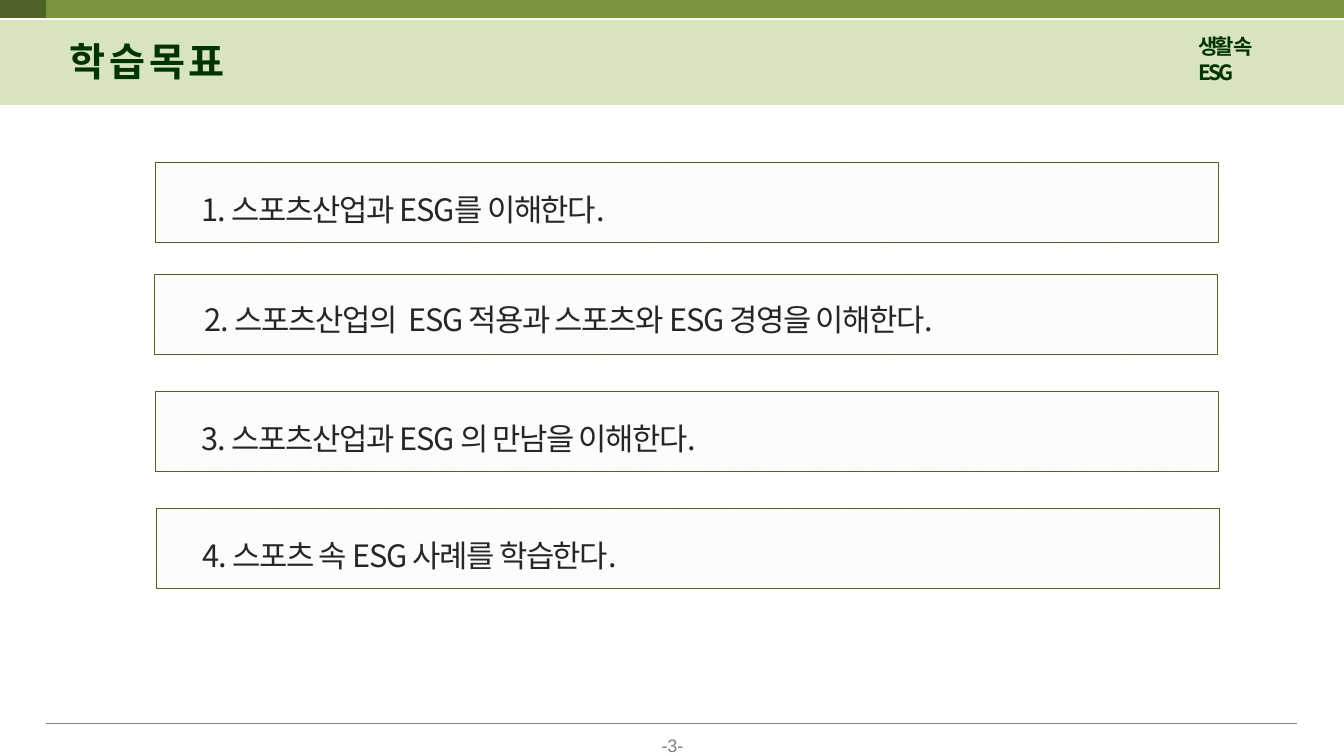
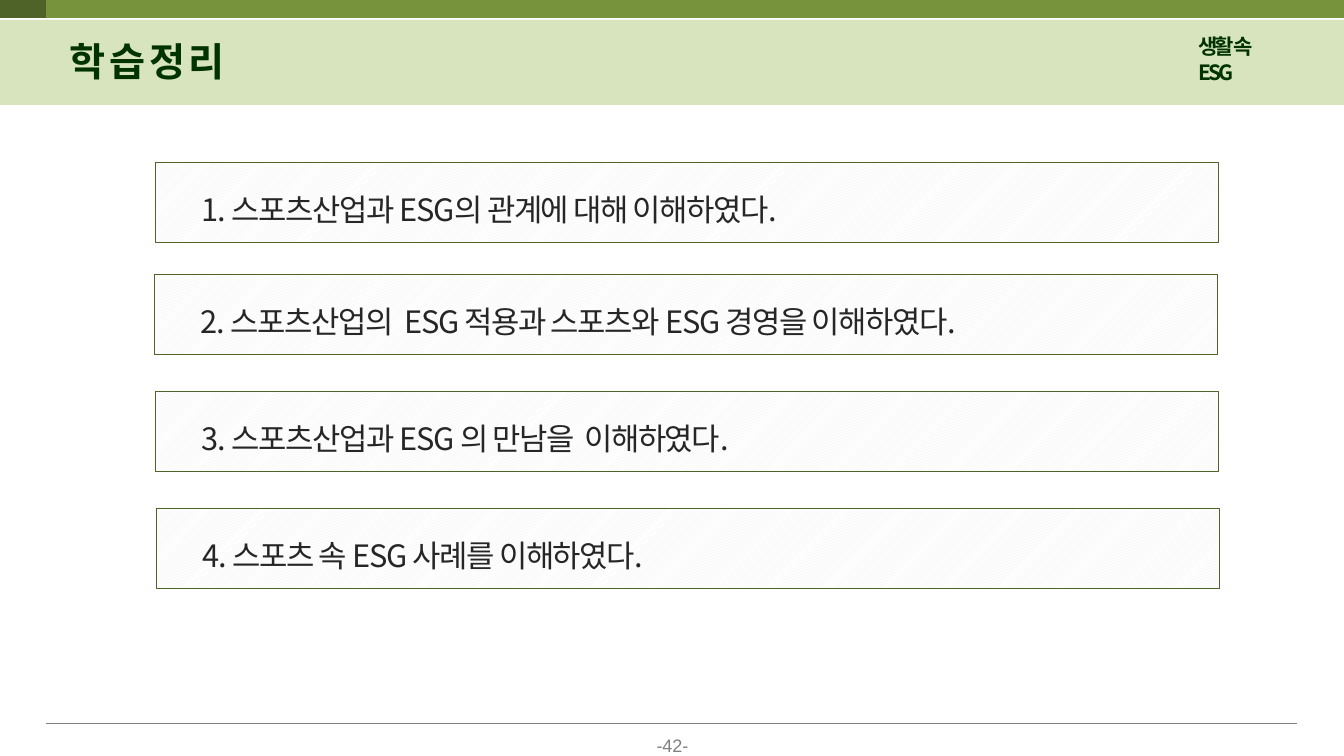
import lxml.etree
import pptx
import pptx.dml.color
import pptx.enum.dml
import pptx.enum.shapes
import pptx.enum.text
import pptx.oxml.ns
import pptx.util

SCALE = 914400 / 100.8
KOREAN = "Noto Sans CJK KR"
BAND, BAR, MOSS = "D7E4BD", "77933C", "4F6228"
DARK, INK, GRAY = "003300", "262626", "808080"
STRIPE, WHITE = "EFEFF1", "FFFFFF"

CARDS = [(156, 163), (155, 275), (156, 392), (157, 509)]
PAGES = [
    ("학 습 목 표", 3, [
        "1. 스포츠산업과 ESG를 이해한다.",
        "2. 스포츠산업의  ESG 적용과 스포츠와 ESG 경영을 이해한다.",
        "3. 스포츠산업과 ESG 의 만남을 이해한다.",
        "4. 스포츠 속 ESG 사례를 학습한다.",
    ], {1: (4, -2)}),
    ("학 습 정 리", 42, [
        "1. 스포츠산업과 ESG의 관계에 대해 이해하였다.",
        "2. 스포츠산업의  ESG 적용과 스포츠와 ESG 경영을 이해하였다.",
        "3. 스포츠산업과 ESG 의 만남을  이해하였다.",
        "4. 스포츠 속 ESG 사례를 이해하였다.",
    ], {}),
]


def px(*sizes):
    return [pptx.util.Emu(round(size * SCALE)) for size in sizes]


def color(code):
    return pptx.dml.color.RGBColor.from_string(code)


def tag(parent, name, **values):
    return lxml.etree.SubElement(parent, pptx.oxml.ns.qn(name), **values)


class Deck:
    def __init__(self):
        self.prs = pptx.Presentation()
        self.prs.slide_width, self.prs.slide_height = px(1344, 756)
        self.slide = None

    def rect(self, *box):
        kind = pptx.enum.shapes.MSO_SHAPE.RECTANGLE
        shape = self.slide.shapes.add_shape(kind, *px(*box))
        shape.shadow.inherit = False
        return shape

    def band(self, *box, fill):
        shape = self.rect(*box)
        shape.fill.solid()
        shape.fill.fore_color.rgb = color(fill)
        shape.line.fill.background()

    def card(self, left, top):
        """Add a striped panel with a thin border."""
        shape = self.rect(left, top, 1063, 80)
        fill = shape.fill
        fill.patterned()
        fill.pattern = pptx.enum.dml.MSO_PATTERN.DARK_UPWARD_DIAGONAL
        fill.fore_color.rgb = color(STRIPE)
        fill.back_color.rgb = color(WHITE)
        shape.line.color.rgb = color(MOSS)
        shape.line.width = pptx.util.Pt(0.75)

    def rule(self, left, right, top):
        """Add a thin horizontal line."""
        kind = pptx.enum.shapes.MSO_CONNECTOR.STRAIGHT
        line = self.slide.shapes.add_connector(kind, *px(left, top, right, top))
        line.line.color.rgb = color(GRAY)
        line.line.width = pptx.util.Pt(0.5)
        tag(line._element.spPr, "a:effectLst")

    def text(self, words, box, size, ink=DARK, font=KOREAN, bold=False,
             track=0, lead=1.0, center=False, inset=(10, 5, 10, 5)):
        """Add a text box; track is letter spacing in points."""
        frame = self.slide.shapes.add_textbox(*px(*box)).text_frame
        frame.word_wrap = True
        frame.auto_size = pptx.enum.text.MSO_AUTO_SIZE.SHAPE_TO_FIT_TEXT
        (frame.margin_left, frame.margin_top,
         frame.margin_right, frame.margin_bottom) = px(*inset)
        para = frame.paragraphs[0]
        para.text = words
        para.line_spacing = lead
        if center:
            para.alignment = pptx.enum.text.PP_ALIGN.CENTER
        for run in para.runs:
            run.font.size = pptx.util.Pt(size)
            run.font.bold = bold
            run.font.name = font
            run.font.color.rgb = color(ink)
            props = run._r.get_or_add_rPr()
            props.set("spc", str(round(track * 100)))
            tag(props, "a:ea", typeface=font)

    def page(self, title, number):
        """Start a slide with its bands, title and footer."""
        self.slide = self.prs.slides.add_slide(self.prs.slide_layouts[6])
        self.band(0, 20, 1344, 85, fill=BAND)
        self.band(0, 0, 1344, 18, fill=BAR)
        self.band(0, 0, 46, 18, fill=MOSS)
        self.rule(46, 1297, 723)
        self.text(f"-{number}-", (626, 728, 93, 34), 12.9, ink=GRAY,
                  font="Arial", center=True, inset=(12, 6, 12, 6))
        self.text("생활 속\vESG", (1188, 29, 119, 35), 15, bold=True, track=-1.9)
        self.text(title, (60, 32, 222, 57), 28, bold=True, track=-1.9)

    def goal(self, words, left, top, shift):
        self.card(left, top)
        right, down = shift
        box = (left + 25 + right, top + 15 + down, 1035, 55)
        self.text(words, box, 22, ink=INK, track=-1, lead=1.2,
                  inset=(21, 5, 10, 5))


def main():
    deck = Deck()
    for title, number, goals, shifts in PAGES:
        deck.page(title, number)
        for index, (words, spot) in enumerate(zip(goals, CARDS)):
            deck.goal(words, *spot, shifts.get(index, (0, 0)))
    deck.prs.save("out.pptx")


if __name__ == "__main__":
    main()
